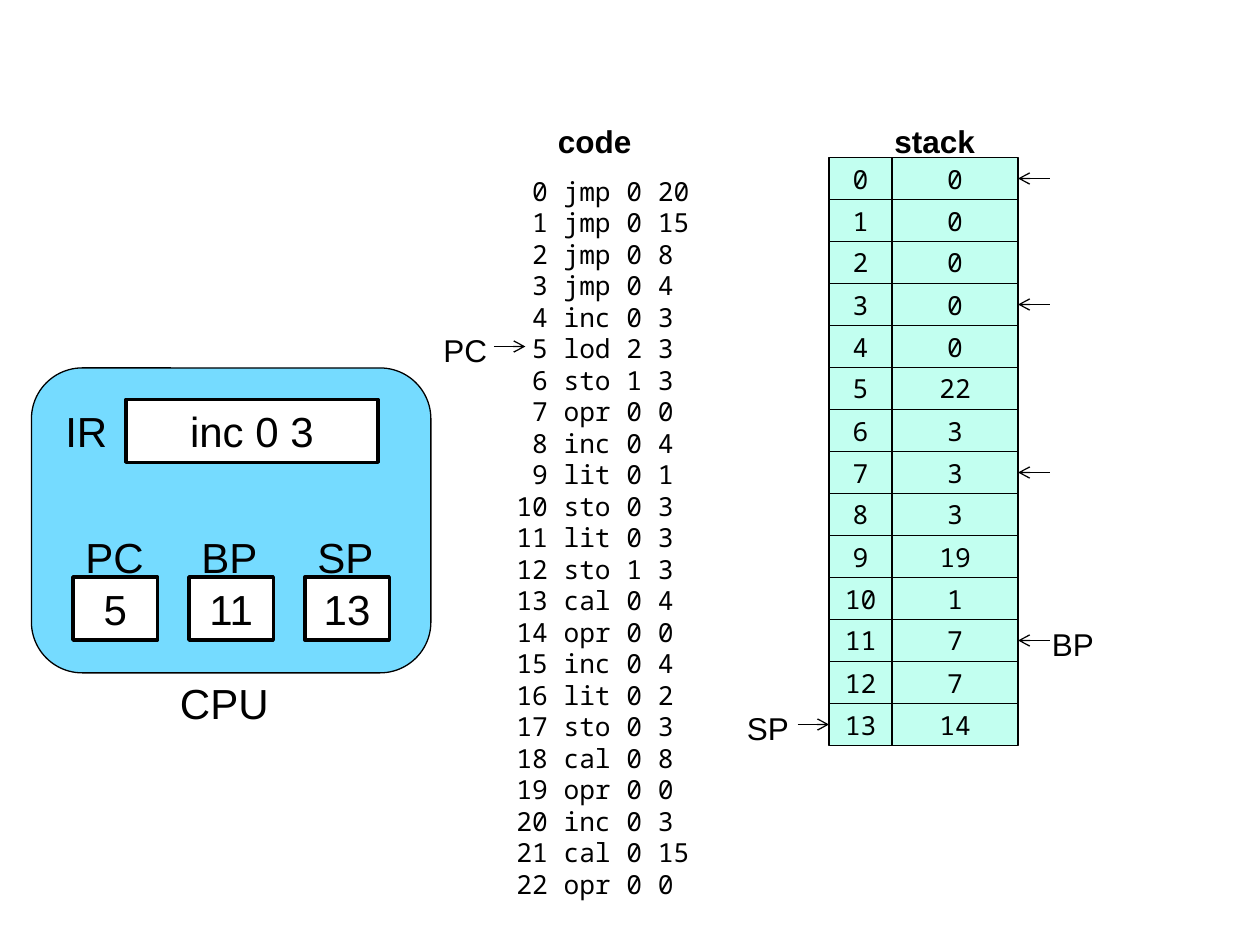
from lxml import etree
from pptx import Presentation
from pptx.dml.color import RGBColor
from pptx.enum.shapes import MSO_CONNECTOR, MSO_SHAPE
from pptx.enum.text import MSO_ANCHOR, PP_ALIGN
from pptx.oxml.ns import qn
from pptx.util import Inches, Pt

RECTANGLE, ROUNDED = MSO_SHAPE.RECTANGLE, MSO_SHAPE.ROUNDED_RECTANGLE
STRAIGHT = MSO_CONNECTOR.STRAIGHT
LEFT, CENTER = PP_ALIGN.LEFT, PP_ALIGN.CENTER
TOP, MIDDLE = MSO_ANCHOR.TOP, MSO_ANCHOR.MIDDLE

# Content
CODE = [
    "jmp 0 20", "jmp 0 15", "jmp 0 8", "jmp 0 4", "inc 0 3", "lod 2 3",
    "sto 1 3", "opr 0 0", "inc 0 4", "lit 0 1", "sto 0 3", "lit 0 3",
    "sto 1 3", "cal 0 4", "opr 0 0", "inc 0 4", "lit 0 2", "sto 0 3",
    "cal 0 8", "opr 0 0", "inc 0 3", "cal 0 15", "opr 0 0",
]
STACK = [0, 0, 0, 0, 0, 22, 3, 3, 3, 19, 1, 7, 7, 14]
REGISTERS = [("PC", 5), ("BP", 11), ("SP", 13)]
INSTRUCTION = "inc 0 3"
FRAME_ROWS = [0, 3, 7]
BASE_ROW, TOP_ROW = 11, 13

# Theme
THEME = {
    "black": RGBColor.from_string("000000"),
    "white": RGBColor.from_string("FFFFFF"),
    "cpu": RGBColor.from_string("75DBFF"),
    "cell": RGBColor.from_string("C2FFF0"),
    "thin": Pt(0.75),
    "thick": Pt(2),
    "line pitch": Pt(18),
}
STYLES = {
    "code": {"name": "Noto Sans Mono", "size": Pt(15)},
    "heading": {"name": "Arial", "size": Pt(18), "bold": True},
    "pointer": {"name": "Arial", "size": Pt(18)},
    "register": {"name": "Arial", "size": Pt(24)},
}

# Layout, in inches
STACK_LEFT, STACK_TOP = 6.58, 1.25
INDEX_WIDTH, VALUE_WIDTH, ROW_HEIGHT = 0.5, 1, 1 / 3
STACK_RIGHT = STACK_LEFT + INDEX_WIDTH + VALUE_WIDTH
REGISTER_LEFT, REGISTER_TOP, REGISTER_STEP = 0.58, 4.58, 0.92
ARROW_LENGTH = 0.25


def write(shape, lines, style, align=LEFT, anchor=TOP, pitch=None):
    frame = shape.text_frame
    frame.word_wrap = True
    frame.vertical_anchor = anchor
    for number, line in enumerate(lines):
        paragraph = frame.paragraphs[0] if number == 0 else frame.add_paragraph()
        paragraph.alignment = align
        if pitch:
            paragraph.line_spacing = pitch
        run = paragraph.add_run()
        run.text = str(line)
        for name, value in STYLES[style].items():
            setattr(run.font, name, value)
        run.font.color.rgb = THEME["black"]


def add_label(slide, lines, box, style, **options):
    shape = slide.shapes.add_textbox(*map(Inches, box))
    write(shape, lines, style, **options)


def add_heading(slide, text, left):
    add_label(slide, [text], (left, 0.92, 0.9, 0.4), "heading")


def add_box(slide, box, fill, weight, text=None, style=None, kind=RECTANGLE):
    shape = slide.shapes.add_shape(kind, *map(Inches, box))
    shape.shadow.inherit = False
    shape.fill.solid()
    shape.fill.fore_color.rgb = THEME[fill]
    shape.line.color.rgb = THEME["black"]
    shape.line.width = THEME[weight]
    if text is not None:
        write(shape, [text], style, align=CENTER, anchor=MIDDLE)


def add_arrow(slide, start, end, y):
    arrow = slide.shapes.add_connector(
        STRAIGHT, Inches(start), Inches(y), Inches(end), Inches(y))
    arrow.line.color.rgb = THEME["black"]
    arrow.line.width = THEME["thin"]
    line = arrow._element.spPr.find(qn("a:ln"))
    etree.SubElement(line, qn("a:tailEnd"), type="arrow")
    etree.SubElement(arrow._element.spPr, qn("a:effectLst"))


def add_right_pointer(slide, name, tip, y):
    add_arrow(slide, tip - ARROW_LENGTH, tip, y)
    add_label(slide, [name], (tip - 0.75, y - 0.17, 0.67, 0.4), "pointer")


def row_middle(row):
    return STACK_TOP + (row + 0.5) * ROW_HEIGHT


def build_code(slide):
    lines = [f"{number:>2} {line}" for number, line in enumerate(CODE)]
    add_label(slide, lines, (4, 1.34, 2.33, 6.16), "code",
              pitch=THEME["line pitch"])
    add_heading(slide, "code", 4.33)
    add_right_pointer(slide, "PC", 4.17, 2.75)


def build_cpu(slide):
    add_box(slide, (0.25, 2.92, 3.17, 2.42), "cpu", "thin", kind=ROUNDED)
    add_box(slide, (1, 3.17, 2, 0.5), "white", "thick", INSTRUCTION, "register")
    add_label(slide, ["IR"], (0.42, 3.17, 0.83, 0.5), "register")
    for number, (name, value) in enumerate(REGISTERS):
        left = REGISTER_LEFT + number * REGISTER_STEP
        add_box(slide, (left, REGISTER_TOP, 0.67, 0.5), "white", "thick",
                value, "register")
        add_label(slide, [name], (left, REGISTER_TOP - 0.41, 0.83, 0.5), "register")
    add_label(slide, ["CPU"], (1.33, 5.33, 0.92, 0.5), "register")


def build_stack(slide):
    add_heading(slide, "stack", 7)
    for row, value in enumerate(STACK):
        top = STACK_TOP + row * ROW_HEIGHT
        add_box(slide, (STACK_LEFT + INDEX_WIDTH, top, VALUE_WIDTH, ROW_HEIGHT),
                "cell", "thin", value, "code")
        add_box(slide, (STACK_LEFT, top, INDEX_WIDTH, ROW_HEIGHT),
                "cell", "thin", row, "code")

    # Frame bases on the right, top of stack on the left
    for row in FRAME_ROWS + [BASE_ROW]:
        add_arrow(slide, STACK_RIGHT + ARROW_LENGTH, STACK_RIGHT, row_middle(row))
    add_label(slide, ["BP"],
              (STACK_RIGHT + 0.17, row_middle(BASE_ROW) - 0.17, 0.67, 0.4), "pointer")
    add_right_pointer(slide, "SP", STACK_LEFT, row_middle(TOP_ROW))


def main():
    presentation = Presentation()
    presentation.slide_width, presentation.slide_height = Inches(10), Inches(7.5)
    slide = presentation.slides.add_slide(presentation.slide_layouts[6])
    build_code(slide)
    build_cpu(slide)
    build_stack(slide)
    presentation.save("out.pptx")


if __name__ == "__main__":
    main()
